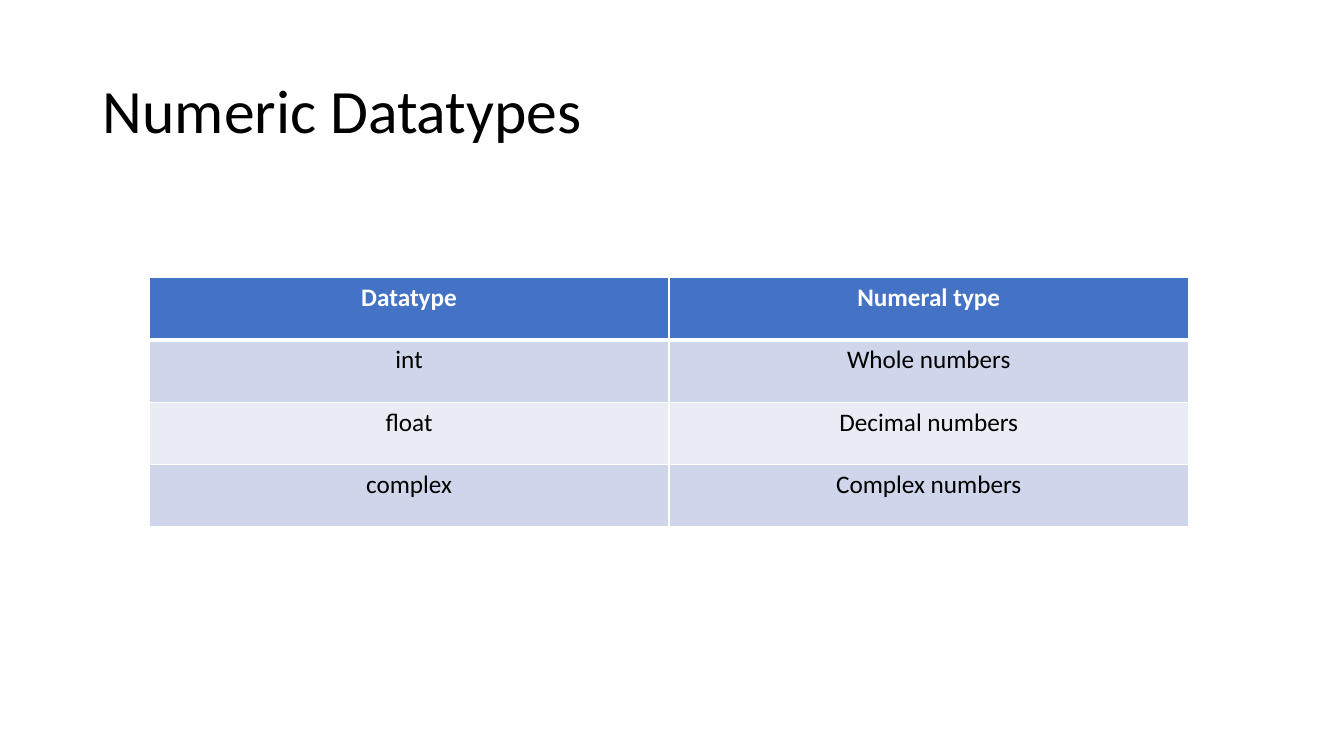
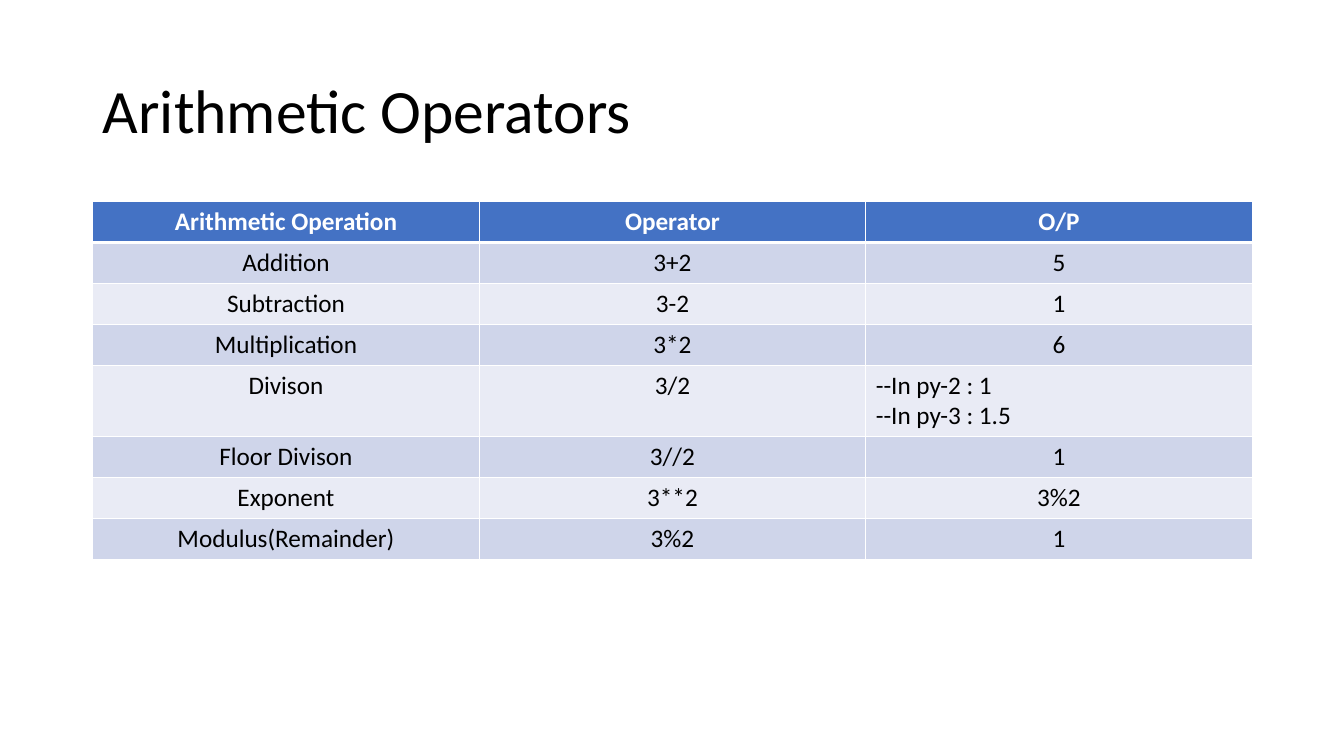
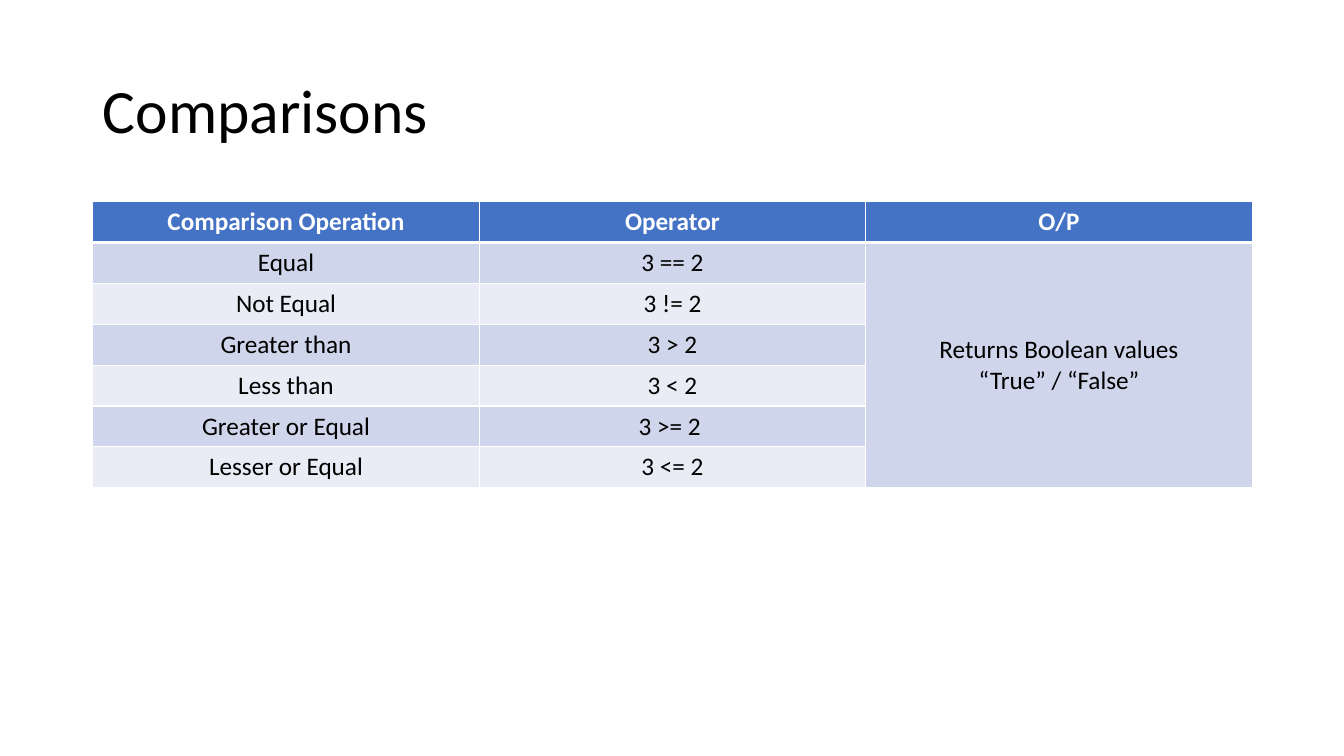
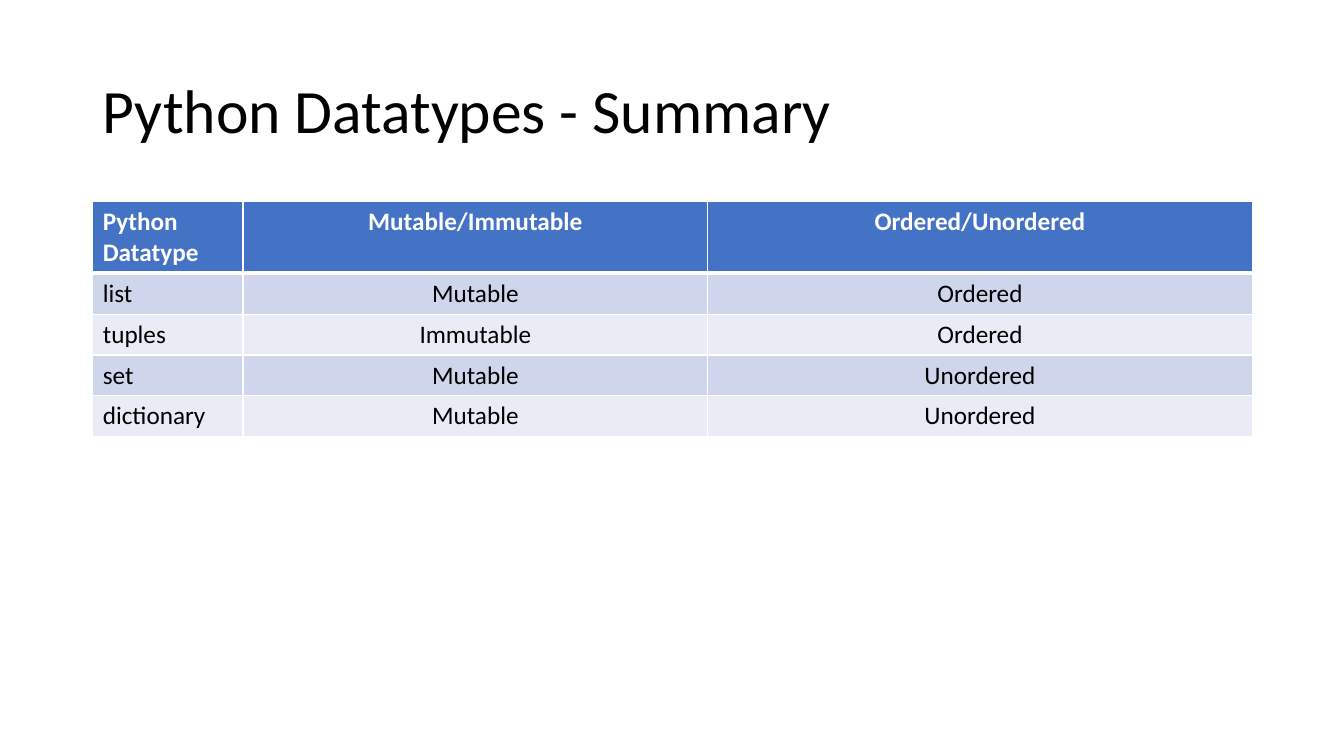
"""Build four slides of Python datatype and operator tables."""
from dataclasses import dataclass

from lxml import etree
from pptx import Presentation
from pptx.dml.color import RGBColor
from pptx.enum.text import MSO_ANCHOR, PP_ALIGN
from pptx.oxml.ns import qn
from pptx.slide import Slide
from pptx.table import _Cell
from pptx.text.text import _Paragraph
from pptx.util import Inches, Pt

LEFT, CENTER = PP_ALIGN.LEFT, PP_ALIGN.CENTER
MIDDLE = MSO_ANCHOR.MIDDLE
BLACK = RGBColor(0x00, 0x00, 0x00)
WHITE = RGBColor(0xFF, 0xFF, 0xFF)
HEADER_BLUE = RGBColor(0x44, 0x72, 0xC4)
BANDS = (RGBColor(0xCF, 0xD5, 0xEA), RGBColor(0xE9, 0xEB, 0xF5))
FONT = "Calibri"
TITLE_SIZE, CELL_SIZE = 44, 18
THIN, THICK = 1, 3
MARGIN, CONTENT_WIDTH = 0.92, 11.5
TITLE_ONLY = 5


@dataclass(frozen=True)
class TableSlide:
    """A title and a table, with the places where cells differ from the rule."""

    title: str
    rows: tuple[tuple[str, ...], ...]
    widths: tuple[float, ...]
    left: float = MARGIN
    top: float = 2.0
    row_height: float = 0.4
    left_aligned: tuple[tuple[int, int], ...] = ()
    merged_column: int | None = None


THIRDS = (CONTENT_WIDTH / 3,) * 3

SLIDES = (
    TableSlide(
        "Numeric Datatypes",
        (
            ("Datatype", "Numeral type"),
            ("int", "Whole numbers"),
            ("float", "Decimal numbers"),
            ("complex", "Complex numbers"),
        ),
        widths=(10.31 / 2,) * 2,
        left=1.48,
        top=2.75,
        row_height=0.62,
    ),
    TableSlide(
        "Arithmetic Operators",
        (
            ("Arithmetic Operation", "Operator", "O/P"),
            ("Addition", "3+2", "5"),
            ("Subtraction", "3-2", "1"),
            ("Multiplication", "3*2", "6"),
            ("Divison", "3/2", "--In py-2 : 1\n--In py-3 : 1.5"),
            ("Floor Divison", "3//2", "1"),
            ("Exponent", "3**2", "3%2"),
            ("Modulus(Remainder)", "3%2", "1"),
        ),
        widths=THIRDS,
        left_aligned=((4, 2),),
    ),
    TableSlide(
        "Comparisons",
        (
            ("Comparison Operation", "Operator", "O/P"),
            ("Equal", "3 == 2", "Returns Boolean values\n“True” / “False”"),
            ("Not Equal", "3 != 2"),
            ("Greater than", "3 > 2"),
            ("Less than", "3 < 2"),
            ("Greater or Equal", "3 >= 2 "),
            ("Lesser or Equal", "3 <= 2"),
        ),
        widths=THIRDS,
        merged_column=2,
    ),
    TableSlide(
        "Python Datatypes - Summary",
        (
            ("Python Datatype", "Mutable/Immutable", "Ordered/Unordered"),
            ("list", "Mutable", "Ordered"),
            ("tuples", "Immutable", "Ordered"),
            ("set", "Mutable", "Unordered"),
            ("dictionary", "Mutable", "Unordered"),
        ),
        widths=(1.49, 4.61, 5.4),
        left_aligned=tuple((row, 0) for row in range(5)),
    ),
)


def add_run(paragraph: _Paragraph, text: str, size: int, color: RGBColor, bold: bool = False) -> None:
    """Add one formatted run to a paragraph."""
    run = paragraph.add_run()
    run.text = text
    run.font.name = FONT
    run.font.size = Pt(size)
    run.font.bold = bold
    run.font.color.rgb = color


def add_title(slide: Slide, text: str) -> None:
    """Place and format the slide title."""
    title = slide.shapes.title
    title.left, title.top = Inches(MARGIN), Inches(0.4)
    title.width, title.height = Inches(CONTENT_WIDTH), Inches(1.45)
    title.text_frame.vertical_anchor = MIDDLE
    paragraph = title.text_frame.paragraphs[0]
    paragraph.alignment = LEFT
    paragraph.line_spacing = 0.9
    add_run(paragraph, text, TITLE_SIZE, BLACK)


def set_borders(cell: _Cell, row: int) -> None:
    """Draw white cell borders, thick between the header and the body."""
    properties = cell._tc.get_or_add_tcPr()
    top = THICK if row == 1 else THIN
    bottom = THICK if row == 0 else THIN
    for tag, width in (("a:lnL", THIN), ("a:lnR", THIN), ("a:lnT", top), ("a:lnB", bottom)):
        line = etree.SubElement(properties, qn(tag), w=str(Pt(width)))
        fill = etree.SubElement(line, qn("a:solidFill"))
        etree.SubElement(fill, qn("a:srgbClr"), val=str(WHITE))


def style_cell(cell: _Cell, row: int) -> None:
    """Give a cell its borders and its header or band fill."""
    set_borders(cell, row)
    cell.fill.solid()
    cell.fill.fore_color.rgb = BANDS[(row - 1) % 2] if row else HEADER_BLUE


def write_cell(cell: _Cell, text: str, is_header: bool, alignment: PP_ALIGN) -> None:
    """Write each line of a cell as its own paragraph."""
    frame = cell.text_frame
    for index, line in enumerate(text.split("\n")):
        paragraph = frame.add_paragraph() if index else frame.paragraphs[0]
        paragraph.alignment = alignment
        add_run(paragraph, line, CELL_SIZE, WHITE if is_header else BLACK, is_header)


def add_data_table(slide: Slide, content: TableSlide) -> None:
    """Add the table that the content describes."""
    row_count, column_count = len(content.rows), len(content.widths)
    table = slide.shapes.add_table(
        row_count, column_count,
        Inches(content.left), Inches(content.top),
        Inches(sum(content.widths)), Inches(content.row_height * row_count),
    ).table
    for column, width in zip(table.columns, content.widths):
        column.width = Inches(width)
    for row, texts in enumerate(content.rows):
        table.rows[row].height = Inches(content.row_height)
        for column in range(column_count):
            style_cell(table.cell(row, column), row)
        for column, text in enumerate(texts):
            alignment = LEFT if (row, column) in content.left_aligned else CENTER
            write_cell(table.cell(row, column), text, row == 0, alignment)
    if content.merged_column is not None:
        first = table.cell(1, content.merged_column)
        first.merge(table.cell(row_count - 1, content.merged_column))
        first.vertical_anchor = MIDDLE


def main() -> None:
    """Build and save the presentation."""
    presentation = Presentation()
    presentation.slide_width, presentation.slide_height = Inches(13.33), Inches(7.5)
    for content in SLIDES:
        slide = presentation.slides.add_slide(presentation.slide_layouts[TITLE_ONLY])
        add_title(slide, content.title)
        add_data_table(slide, content)
    presentation.save("out.pptx")


if __name__ == "__main__":
    main()
